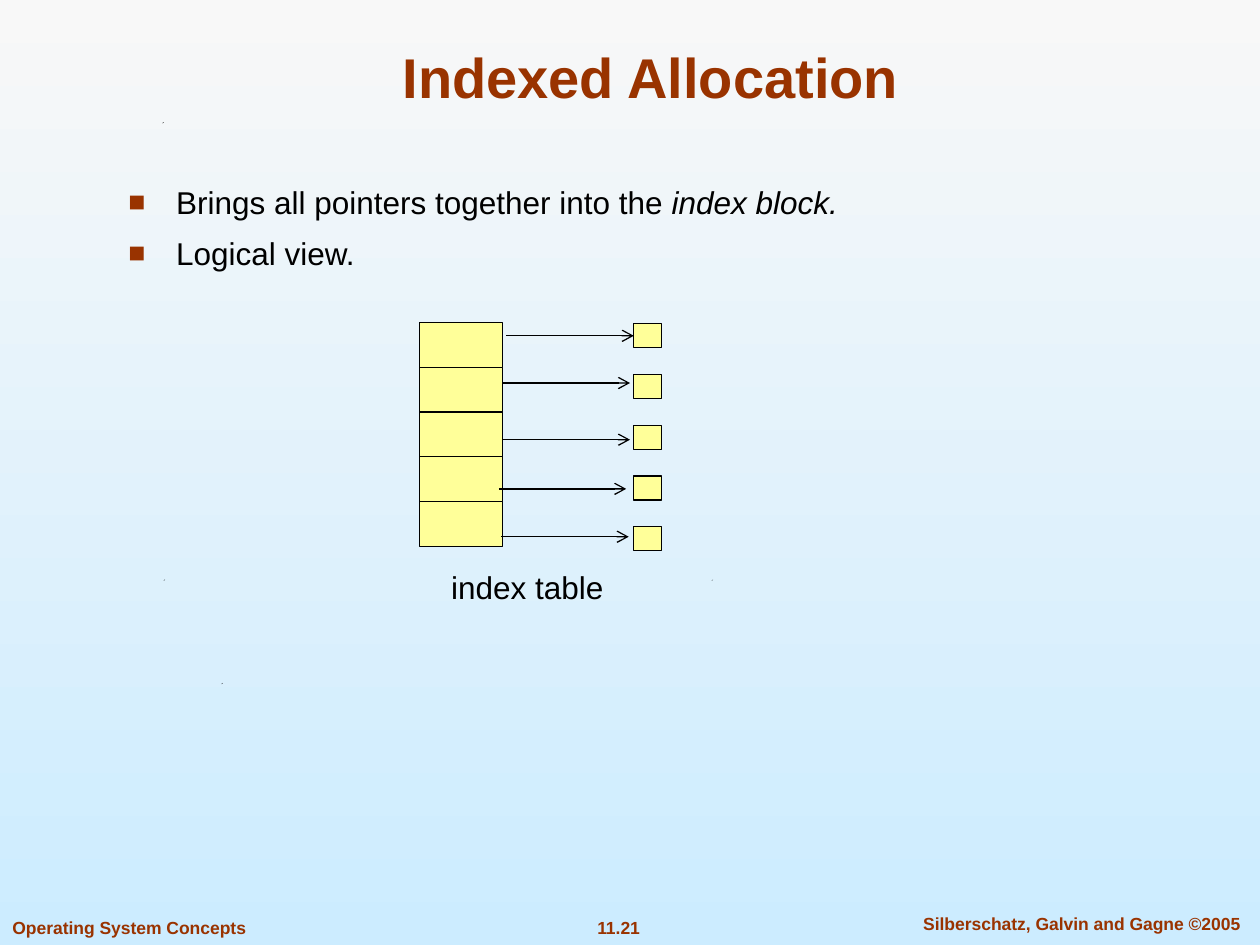
from dataclasses import dataclass

from lxml.etree import SubElement
from pptx import Presentation
from pptx.dml.color import RGBColor
from pptx.enum.shapes import MSO_CONNECTOR, MSO_SHAPE
from pptx.enum.text import MSO_ANCHOR, PP_ALIGN
from pptx.oxml.ns import qn
from pptx.util import Inches, Pt


@dataclass(frozen=True)
class Theme:
    font: str = "Arial"
    accent: str = "993300"
    ink: str = "000000"
    box: str = "FFFF99"
    sky_top: str = "F8F8F8"
    sky_bottom: str = "CCECFF"
    title: int = 32
    body: int = 18
    footer: int = 10
    line: float = 0.75


T = Theme()

TITLE = "Indexed Allocation"
BULLETS = [
    [("Brings all pointers together into the ", False), ("index block.", True)],
    [("Logical view.", False)],
]
CAPTION = "index table"
FOOTERS = [
    ("Operating System Concepts", (0, 7.23, 2.05, 0.27), PP_ALIGN.LEFT, False),
    ("11.21", (4.38, 7.23, 1.06, 0.27), PP_ALIGN.CENTER, False),
    ("Silberschatz, Galvin and Gagne ©2005", (7.1, 7.2, 2.97, 0.27), PP_ALIGN.CENTER, True),
]
SPECKS = [(1.76, 5.42), (1.3, 4.6), (5.65, 4.6), (1.29, 0.97)]
SPECK = 0.01

ROWS = 5
CELL_LEFT, CELL_TOP, CELL_W, CELL_H = 3.33, 2.56, 0.66, 0.36
CELL_STEP = 0.355
BLOCK_LEFT, BLOCK_TOP, BLOCK_W, BLOCK_H = 5.03, 2.57, 0.22, 0.19
BLOCK_STEP = 0.4025
ARROW_LEN = 1.01
ARROW_STARTS = [(4.02, 2.67), (3.99, 3.04), (3.99, 3.49), (3.96, 3.88), (3.98, 4.26)]


def rgb(value):
    return RGBColor.from_string(value)


def style(p, size, color, bold=False):
    for r in p.runs:
        r.font.name = T.font
        r.font.size = Pt(size)
        r.font.bold = bold
        r.font.color.rgb = rgb(color)


def text_frame(s, box, anchor=MSO_ANCHOR.TOP, wrap=True):
    tf = s.shapes.add_textbox(*map(Inches, box)).text_frame
    tf.word_wrap = wrap
    tf.vertical_anchor = anchor
    return tf


def add_label(s, text, box, size, color, align=PP_ALIGN.CENTER, bold=False,
              before=0, anchor=MSO_ANCHOR.TOP, wrap=True):
    tf = text_frame(s, box, anchor, wrap)
    tf.text = text
    p = tf.paragraphs[0]
    p.alignment = align
    p.space_before = Pt(before)
    style(p, size, color, bold)


def add_bullets(s, box):
    tf = text_frame(s, box)
    for i, parts in enumerate(BULLETS):
        p = tf.add_paragraph() if i else tf.paragraphs[0]
        p.space_before = Pt(7.9)
        for text, italic in parts:
            r = p.add_run()
            r.text = text
            r.font.italic = italic
        style(p, T.body, T.ink)
        pPr = p._p.get_or_add_pPr()
        pPr.set("marL", str(Inches(0.38)))
        pPr.set("indent", str(Inches(-0.38)))
        color = SubElement(pPr, qn("a:buClr"))
        SubElement(color, qn("a:srgbClr"), val=T.accent)
        SubElement(pPr, qn("a:buSzPct"), val="90000")
        SubElement(pPr, qn("a:buFont"), typeface=T.font)
        SubElement(pPr, qn("a:buChar"), char="■")


def add_box(s, *box):
    sp = s.shapes.add_shape(MSO_SHAPE.RECTANGLE, *map(Inches, box))
    sp.shadow.inherit = False
    sp.fill.solid()
    sp.fill.fore_color.rgb = rgb(T.box)
    sp.line.color.rgb = rgb(T.ink)
    sp.line.width = Pt(T.line)
    return sp


def add_arrow(s, x, y):
    c = s.shapes.add_connector(MSO_CONNECTOR.STRAIGHT, Inches(x), Inches(y),
                               Inches(x + ARROW_LEN), Inches(y))
    c.line.color.rgb = rgb(T.ink)
    c.line.width = Pt(T.line)
    SubElement(c.line._get_or_add_ln(), qn("a:tailEnd"), type="arrow")
    SubElement(c._element.spPr, qn("a:effectLst"))
    return c


def add_speck(s, x, y):
    fb = s.shapes.build_freeform(Inches(x), Inches(y + SPECK))
    fb.add_line_segments([(Inches(x + SPECK), Inches(y)),
                          (Inches(x), Inches(y + SPECK / 2))])
    sp = fb.convert_to_shape()
    sp.shadow.inherit = False
    sp.fill.solid()
    sp.fill.fore_color.rgb = rgb(T.ink)
    sp.line.fill.background()


def add_background(s):
    fill = s.background.fill
    fill.gradient()
    fill.gradient_angle = 270
    for stop, color in zip(fill.gradient_stops, (T.sky_top, T.sky_bottom)):
        stop.color.rgb = rgb(color)


def add_diagram(s):
    for i in range(ROWS):
        add_box(s, CELL_LEFT, CELL_TOP + i * CELL_STEP, CELL_W, CELL_H)
    blocks = [add_box(s, BLOCK_LEFT, BLOCK_TOP + i * BLOCK_STEP, BLOCK_W, BLOCK_H)
              for i in range(ROWS)]
    arrows = [add_arrow(s, x, y) for x, y in ARROW_STARTS]
    arrows[0].end_connect(blocks[0], 1)
    arrows[0].begin_y = arrows[0].end_y
    add_label(s, CAPTION, (3.48, 4.46, 1.41, 0.4), T.body, T.ink,
              before=11.2, anchor=MSO_ANCHOR.MIDDLE, wrap=False)


def main():
    prs = Presentation()
    prs.slide_width, prs.slide_height = Inches(10), Inches(7.5)
    s = prs.slides.add_slide(prs.slide_layouts[6])
    add_background(s)
    for x, y in SPECKS:
        add_speck(s, x, y)
    for text, box, align, wrap in FOOTERS:
        add_label(s, text, box, T.footer, T.accent, align, True, 6.2, wrap=wrap)
    add_label(s, TITLE, (0.75, 0.25, 8.83, 0.67), T.title, T.accent,
              bold=True, anchor=MSO_ANCHOR.BOTTOM)
    add_bullets(s, (0.92, 1.4, 8.04, 1.02))
    add_diagram(s)
    prs.save("out.pptx")


if __name__ == "__main__":
    main()
